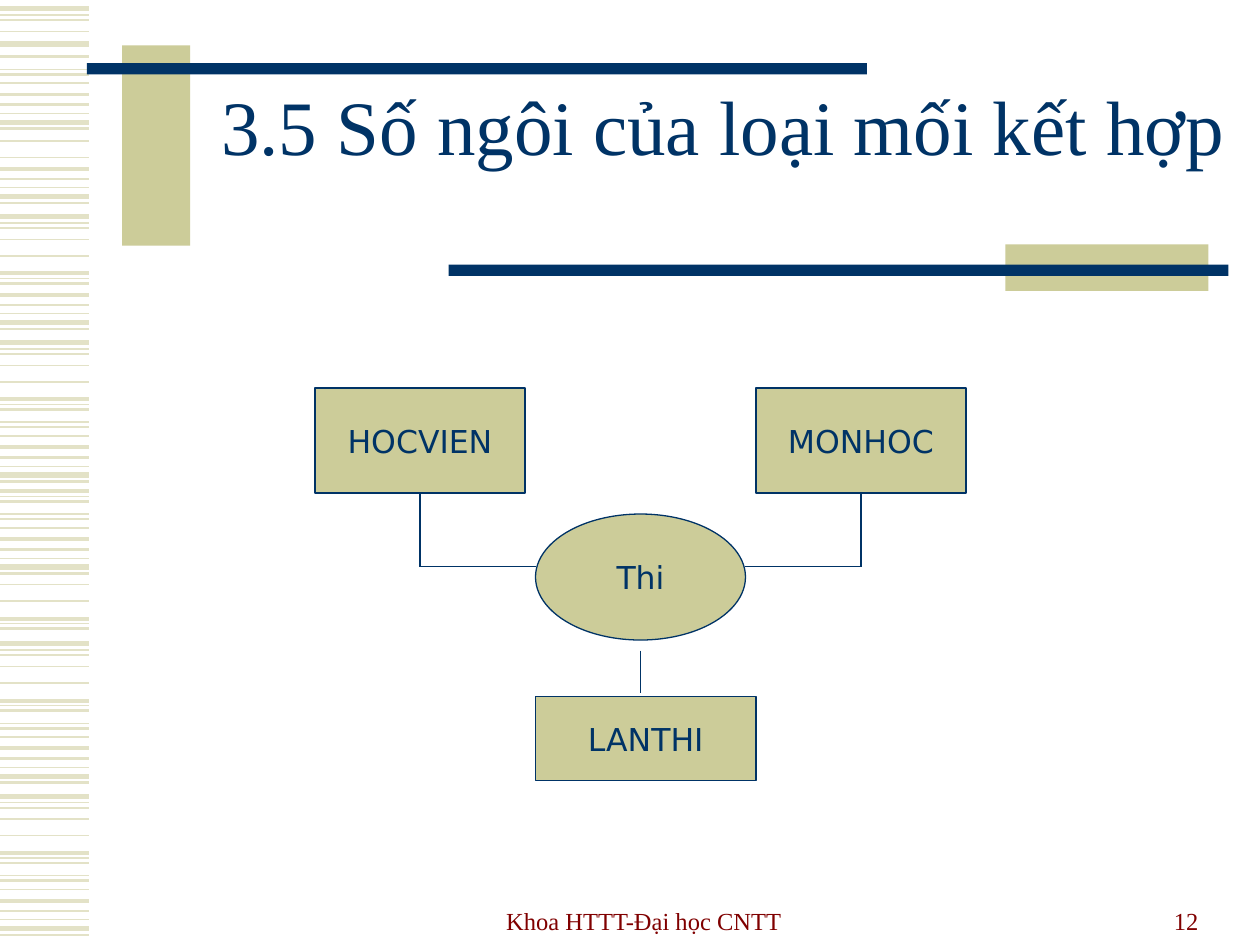
from lxml import etree
from pptx import Presentation
from pptx.dml.color import RGBColor
from pptx.enum.shapes import MSO_CONNECTOR, MSO_SHAPE
from pptx.enum.text import MSO_ANCHOR, MSO_AUTO_SIZE, PP_ALIGN
from pptx.oxml.ns import qn
from pptx.util import Inches, Pt

NAVY = RGBColor(0x00, 0x33, 0x66)
KHAKI = RGBColor(0xCC, 0xCC, 0x99)
PALE_KHAKI = RGBColor(0xE3, 0xE2, 0xC7)
MAROON = RGBColor(0x80, 0x00, 0x00)
SERIF, SANS = "Times New Roman", "DejaVu Sans"

STRAIGHT = MSO_CONNECTOR.STRAIGHT
RECTANGLE, OVAL = MSO_SHAPE.RECTANGLE, MSO_SHAPE.OVAL
MIDDLE, BOTTOM = MSO_ANCHOR.MIDDLE, MSO_ANCHOR.BOTTOM
CENTER, RIGHT = PP_ALIGN.CENTER, PP_ALIGN.RIGHT

TITLE_ONLY = 5
CELL = 1 / 12  # grid of the diagram, in inches

# Stripe motif: offset in inches, weight in points
MOTIF = [
    (0, 3), (0.05, 0.75), (0.09, 1), (0.18, 1), (0.31, 1), (0.45, 2.25),
    (0.49, 0.75), (0.53, 1.5), (0.63, 0.75), (0.67, 1.5), (0.74, 1),
    (0.83, 2.25), (0.91, 1.5), (0.98, 0.75), (1.05, 3), (1.1, 1.5),
]
# Each pass over the motif: origin, first stripe, end stripe
PASSES = [
    (0.07, 0, 4), (0.35, 0, 1), (-0.08, 7, 16), (0.94, 3, 5), (0.51, 11, 16),
    (1.72, 0, 8), (1.51, 11, 16), (2.72, 0, 16), (3.45, 5, 16), (4.46, 3, 8),
    (5.11, 0, 16), (6.32, 0, 16),
]


def add_line(slide, start, end, color, weight):
    points = [Inches(value) for value in (*start, *end)]
    line = slide.shapes.add_connector(STRAIGHT, *points)
    line.line.color.rgb = color
    line.line.width = Pt(weight)
    etree.SubElement(line._element.spPr, qn("a:effectLst"))


def add_block(slide, kind, box, fill, outline=None):
    block = slide.shapes.add_shape(kind, *[Inches(value) for value in box])
    block.shadow.inherit = False
    block.fill.solid()
    block.fill.fore_color.rgb = fill
    if outline is None:
        block.line.fill.background()
    else:
        block.line.color.rgb = outline
        block.line.width = Pt(0.75)
    return block


def write(frame, words, font, size, color, align=CENTER, anchor=MIDDLE, wrap=True):
    frame.word_wrap = wrap
    frame.auto_size = MSO_AUTO_SIZE.NONE
    frame.vertical_anchor = anchor
    paragraph = frame.paragraphs[0]
    paragraph.alignment = align
    run = paragraph.add_run()
    run.text = words
    run.font.name = font
    run.font.size = Pt(size)
    run.font.color.rgb = color
    return paragraph


def add_stripes(slide, left, width):
    for origin, first, end in PASSES:
        for offset, weight in MOTIF[first:end]:
            y = origin + offset
            add_line(slide, (left, y), (left + width, y), PALE_KHAKI, weight)


def add_title_frame(slide, left, top):
    """Khaki blocks crossed by navy bars around the title."""
    for x, y, width, height, color in [
        (0.28, 0, 0.54, 1.59, KHAKI),
        (0, 0.14, 6.19, 0.09, NAVY),
        (7.29, 1.58, 1.61, 0.37, KHAKI),
        (2.87, 1.74, 6.19, 0.09, NAVY),
    ]:
        add_block(slide, RECTANGLE, (left + x, top + y, width, height), color)


def place_title(slide, words, box):
    title = slide.shapes.title
    title.left, title.top, title.width, title.height = map(Inches, box)
    paragraph = write(title.text_frame, words, SERIF, 44, NAVY)
    paragraph.line_spacing = 0.85


def add_relationship_diagram(slide, left, top):
    """Three entities joined by one relationship, placed in grid cells."""
    def at(column, row):
        return left + column * CELL, top + row * CELL

    for words, kind, column, row, columns, rows in [
        ("HOCVIEN", RECTANGLE, 0, 0, 20, 10),
        ("MONHOC", RECTANGLE, 42, 0, 20, 10),
        ("Thi", OVAL, 21, 12, 20, 12),
        ("LANTHI", RECTANGLE, 21, 29.4, 21, 8),
    ]:
        box = (*at(column, row), columns * CELL, rows * CELL)
        node = add_block(slide, kind, box, KHAKI, NAVY)
        write(node.text_frame, words, SANS, 18, NAVY, wrap=False)

    for start, end in [
        ((41, 17), (52, 17)),
        ((10, 17), (21, 17)),
        ((10, 10), (10, 17)),
        ((52, 10), (52, 17)),
        ((31, 25), (31, 29)),
    ]:
        add_line(slide, at(*start), at(*end), NAVY, 0.75)


def add_footer(slide, top, height):
    for words, left, width, align in [
        ("Khoa HTTT-Đại học CNTT", 3.42, 3.38, CENTER),
        ("12", 7.21, 2.4, RIGHT),
    ]:
        box = [Inches(value) for value in (left, top, width, height)]
        frame = slide.shapes.add_textbox(*box).text_frame
        write(frame, words, SERIF, 14, MAROON, align, BOTTOM)


def main():
    deck = Presentation()
    deck.slide_width, deck.slide_height = Inches(10), Inches(7.5)
    slide = deck.slides.add_slide(deck.slide_layouts[TITLE_ONLY])
    add_stripes(slide, 0, 0.71)
    add_title_frame(slide, 0.69, 0.36)
    place_title(slide, "3.5 Số ngôi của loại mối kết hợp", (1.48, 0.42, 8.52, 1.25))
    add_relationship_diagram(slide, 2.5, 3.08)
    add_footer(slide, 6.97, 0.5)
    deck.save("out.pptx")


if __name__ == "__main__":
    main()
